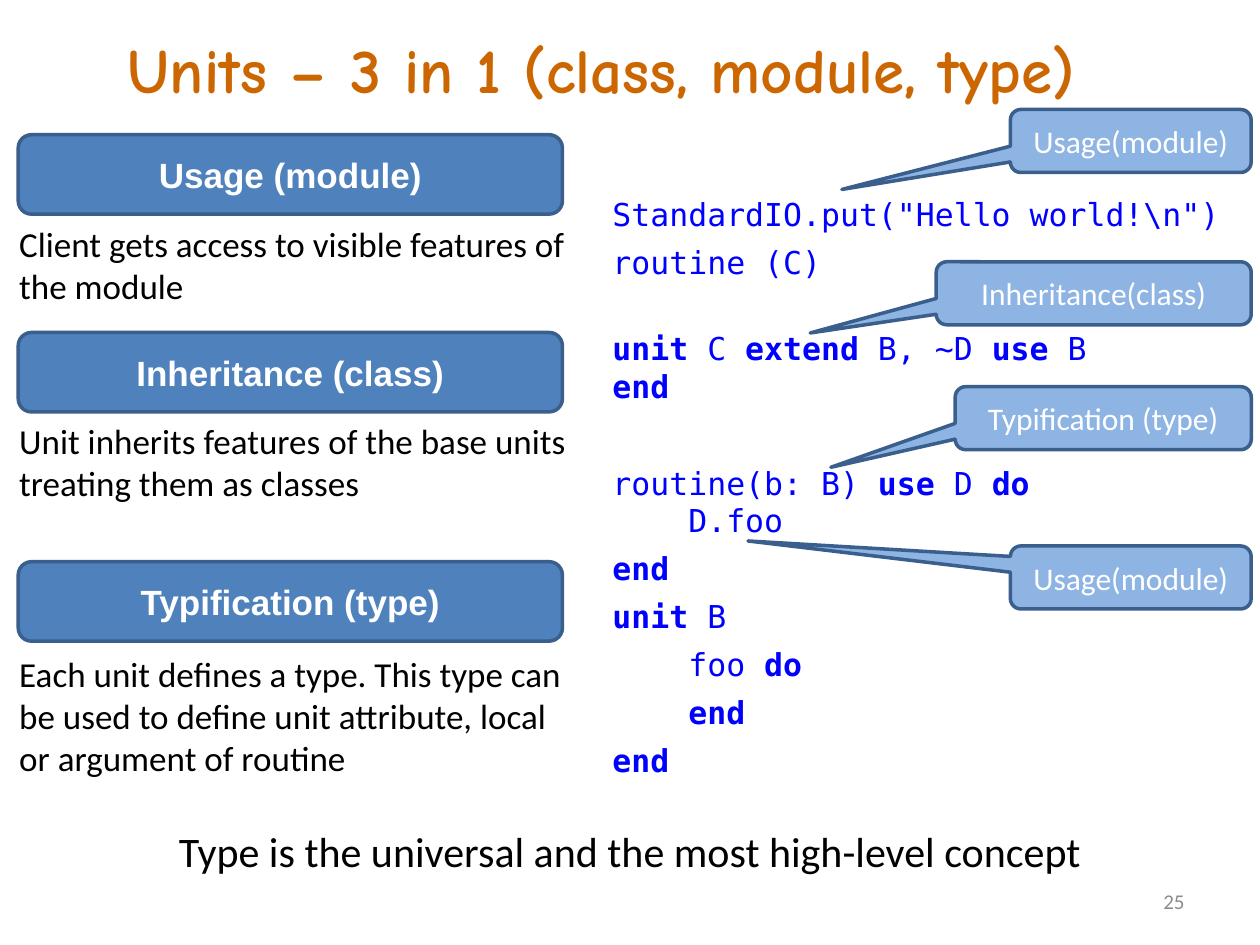
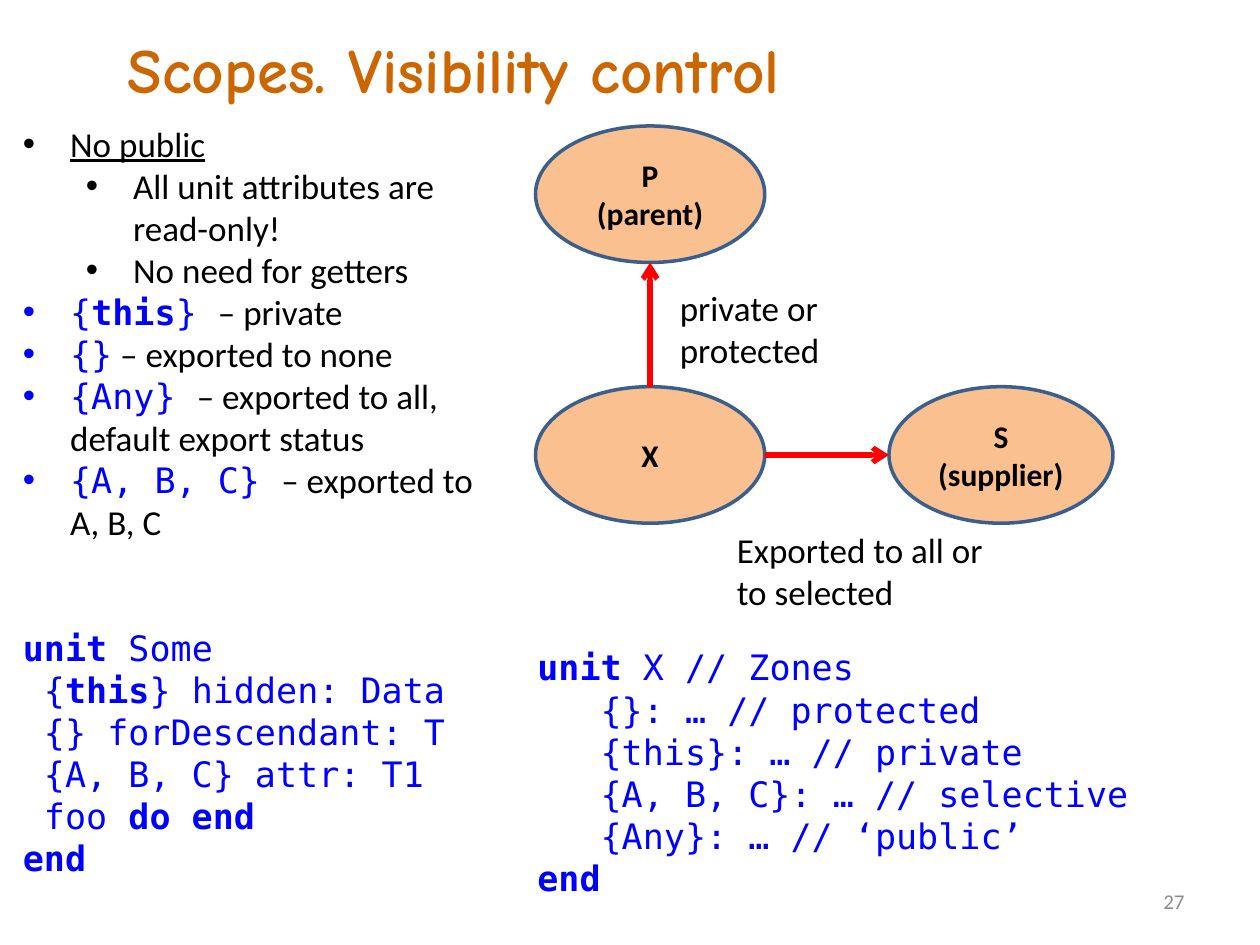
from lxml import etree
from pptx import Presentation
from pptx.dml.color import RGBColor
from pptx.enum.shapes import MSO_CONNECTOR, MSO_SHAPE
from pptx.enum.text import MSO_ANCHOR, PP_ALIGN
from pptx.oxml.ns import qn
from pptx.util import Pt

LEFT, CENTER, RIGHT = PP_ALIGN.LEFT, PP_ALIGN.CENTER, PP_ALIGN.RIGHT
TOP, MIDDLE = MSO_ANCHOR.TOP, MSO_ANCHOR.MIDDLE
ROUND_RECT, OVAL = MSO_SHAPE.ROUNDED_RECTANGLE, MSO_SHAPE.OVAL
CALLOUT = MSO_SHAPE.ROUNDED_RECTANGULAR_CALLOUT
STRAIGHT = MSO_CONNECTOR.STRAIGHT

COLORS = {
    "title": "CC6600", "text": "000000", "code": "0000FF", "white": "FFFFFF",
    "number": "8C8C8C", "header": "4F81BD", "callout": "8EB4E3",
    "node": "FAC090", "outline": "3A5F8C", "arrow": "FF0000",
}
# style: font, size, colour, bold
STYLES = {
    "title": ("Comic Neue", 36, "title", True),
    "body": ("Calibri", 20, "text", False),
    "summary": ("Calibri", 24, "text", False),
    "code": ("DejaVu Sans Mono", 20, "code", False),
    "small code": ("DejaVu Sans Mono", 18, "code", False),
    "header": ("Arial", 20, "white", True),
    "callout": ("Calibri", 18, "white", False),
    "node": ("Calibri", 18, "text", True),
    "number": ("Calibri", 12, "number", False),
}


def rgb(name):
    return RGBColor.from_string(COLORS[name])


class Deck:
    def __init__(self):
        self.prs = Presentation()
        self.prs.slide_width, self.prs.slide_height = Pt(720), Pt(540)
        self.s = None

    def slide(self, title, number):
        self.s = self.prs.slides.add_slide(self.prs.slide_layouts[6])
        self.text(66, 13.7, 640, 46, [title], "title")
        self.text(642, 500.4, 42, 29, [str(number)], "number", RIGHT, MIDDLE)

    def add_run(self, p, text, style, bold=False):
        name, size, color, always_bold = STYLES[style]
        r = p.add_run()
        r.text = text
        r.font.name, r.font.size = name, Pt(size)
        r.font.bold = bold or always_bold
        r.font.color.rgb = rgb(color)

    def fill_text(self, tf, lines, style, align, anchor, inset):
        """Write one paragraph per line; ** toggles bold and ` toggles code."""
        tf.word_wrap = True
        tf.vertical_anchor = anchor
        tf.margin_left = tf.margin_right = Pt(inset)
        tf.margin_top = tf.margin_bottom = Pt(3.6)
        for i, line in enumerate(lines):
            p = tf.paragraphs[0] if i == 0 else tf.add_paragraph()
            p.alignment = align
            for j, part in enumerate(line.split("`")):
                for k, piece in enumerate(part.split("**")):
                    if piece:
                        self.add_run(p, piece, "code" if j % 2 else style, k % 2 == 1)

    def text(self, x, y, w, h, lines, style="body", align=LEFT, anchor=TOP, inset=7.2):
        sp = self.s.shapes.add_textbox(Pt(x), Pt(y), Pt(w), Pt(h))
        self.fill_text(sp.text_frame, lines, style, align, anchor, inset)
        return sp.text_frame

    def shape(self, kind, x, y, w, h, lines, style, inset=7.2):
        """Add an outlined shape whose fill colour bears the name of its style."""
        sp = self.s.shapes.add_shape(kind, Pt(x), Pt(y), Pt(w), Pt(h))
        sp.shadow.inherit = False
        sp.fill.solid()
        sp.fill.fore_color.rgb = rgb(style)
        sp.line.color.rgb = rgb("outline")
        sp.line.width = Pt(2)
        self.fill_text(sp.text_frame, lines, style, CENTER, MIDDLE, inset)
        return sp

    def callout(self, x, y, label, tip_x, tip_y):
        """Add a callout ending at the right edge; the tip is relative to its size."""
        sp = self.shape(CALLOUT, x, y, 715 - x, 36, [label], "callout")
        sp.adjustments[0], sp.adjustments[1] = tip_x, tip_y

    def arrow(self, x1, y1, x2, y2):
        c = self.s.shapes.add_connector(STRAIGHT, Pt(x1), Pt(y1), Pt(x2), Pt(y2))
        c.line.color.rgb = rgb("arrow")
        c.line.width = Pt(3)
        etree.SubElement(c.line._get_or_add_ln(), qn("a:tailEnd"), type="arrow")
        etree.SubElement(c._element.spPr, qn("a:effectLst"))

    def bullet(self, p, level):
        p.level = level
        pPr = p._p.get_or_add_pPr()
        pPr.set("marL", str(Pt(27 + 36 * level)))
        pPr.set("indent", str(Pt(-27)))
        etree.SubElement(pPr, qn("a:buFont"), typeface="Arial")
        etree.SubElement(pPr, qn("a:buChar"), char="•")


def units_slide(d):
    d.slide("Units – 3 in 1 (class, module, type)", 25)
    roles = [
        (77, 123.8, "Usage (module)",
         "Client gets access to visible features of the module"),
        (190, 236.2, "Inheritance (class)",
         "Unit inherits features of the base units treating them as classes"),
        (321, 369.4, "Typification (type)",
         "Each unit defines a type. This type can be used to define unit "
         "attribute, local or argument of routine"),
    ]
    for header_y, text_y, header, description in roles:
        d.shape(ROUND_RECT, 10.4, header_y, 311, 45.4, [header], "header", inset=0)
        d.text(11, text_y, 313, 56, [description], inset=0)

    code = [  # space before, line
        (0, 'StandardIO.put("Hello world!\\n")'),
        (5.8, "routine (C)"),
        (27.4, "**unit** C **extend** B, ~D **use** B"),
        (0, "**end**"),
        (33.8, "routine(b: B) **use** D **do**"),
        (0, "    D.foo"),
        (5.8, "**end**"),
        (5.8, "**unit** B"),
        (5.8, "    foo **do**"),
        (5.8, "    **end**"),
        (5.8, "**end**"),
    ]
    tf = d.text(350, 108, 370, 342, [line for _, line in code], "small code", inset=0)
    for p, (space, _) in zip(tf.paragraphs, code):
        p.space_before = Pt(space)

    d.callout(577.4, 62.6, "Usage(module)", -1.2, 0.77)
    d.callout(535, 149.6, "Inheritance(class)", -0.9, 0.63)
    d.callout(545.8, 221, "Typification (type)", -0.92, 0.78)
    d.callout(577.4, 312, "Usage(module)", -1.59, -0.58)
    d.text(66, 468, 588, 36,
           ["Type is the universal and the most high-level concept"], "summary", CENTER)


def scopes_slide(d):
    d.slide("Scopes. Visibility control", 27)
    rules = [  # level, line
        (0, "No public"),
        (1, "All unit attributes are read-only!"),
        (1, "No need for getters"),
        (0, "`{**this**} `– private"),
        (0, "`{}` – exported to none"),
        (0, "`{Any} `– exported to all, default export status"),
        (0, "`{A, B, C} `– exported to A, B, C"),
    ]
    sample = [
        "`**unit** Some`",
        "` {**this**} hidden: Data`",
        "` {} forDescendant: T`",
        "` {A, B, C} attr: T1`",
        "` foo **do end**`",
        "`**end**`",
    ]
    tf = d.text(6, 66.2, 282, 443, [line for _, line in rules] + sample)
    for p, (level, _) in zip(tf.paragraphs, rules):
        d.bullet(p, level)
    tf.paragraphs[0].runs[0].font.underline = True
    tf.paragraphs[len(rules)].space_before = Pt(48)

    left, top, w, h = 306, 72, 131, 78
    row, supplier_x = 221, 508
    d.shape(OVAL, left, row, w, h, ["X"], "node")
    d.shape(OVAL, left, top, w, h, ["P", "(parent)"], "node")
    d.shape(OVAL, supplier_x, row, 128, h, ["S", "(supplier)"], "node")
    d.arrow(left + w / 2, row, left + w / 2, top + h)
    d.arrow(left + w, row + h / 2, supplier_x, row + h / 2)
    d.text(381.4, 160, 135, 56, ["private or protected"])
    d.text(414, 298.6, 186, 56, ["Exported to all or", "to selected"])

    d.text(300, 365.6, 396, 153, [
        "**unit** X // Zones",
        "   {}: … // protected",
        "   {this}: … // private",
        "   {A, B, C}: … // selective",
        "   {Any}: … // ‘public’",
        "**end**",
    ], "code")


def main():
    d = Deck()
    units_slide(d)
    scopes_slide(d)
    d.prs.save("out.pptx")


if __name__ == "__main__":
    main()
